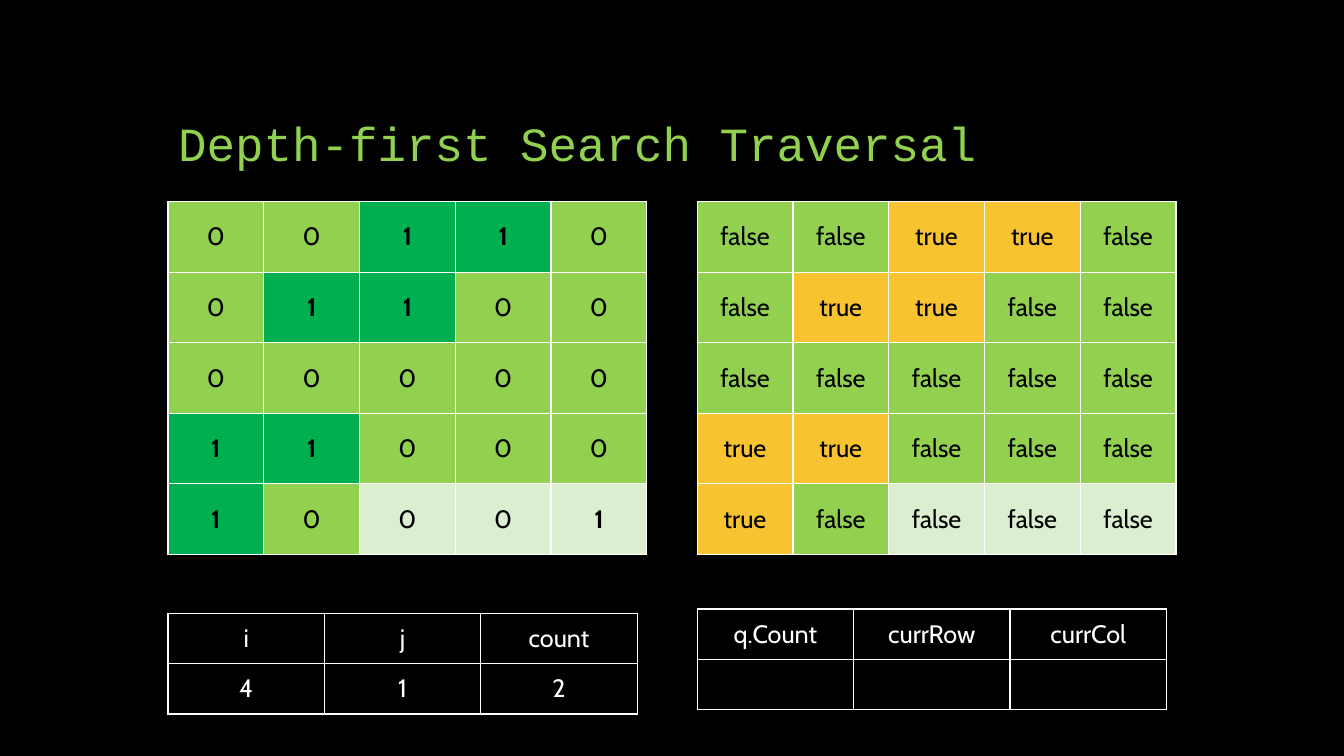
from pptx import Presentation
from pptx.dml.color import RGBColor
from pptx.enum.text import MSO_ANCHOR, MSO_AUTO_SIZE, PP_ALIGN
from pptx.oxml import parse_xml
from pptx.oxml.ns import nsdecls
from pptx.util import Emu, Pt

BLACK, WHITE = "000000", "FFFFFF"
LIME, GREEN, AMBER, PALE = "92D050", "00B050", "F7C331", "DCEED0"


def px(length):
    return Emu(length * 9525)


def color(hex_string):
    return RGBColor.from_string(hex_string)


presentation = Presentation()
presentation.slide_width, presentation.slide_height = px(1280), px(720)
slide = presentation.slides.add_slide(presentation.slide_layouts[5])
slide.background.fill.solid()
slide.background.fill.fore_color.rgb = color(BLACK)

title = slide.shapes.title
title.left, title.top, title.width, title.height = px(160), px(48), px(960), px(120)
title_frame = title.text_frame
title_frame.word_wrap = True
title_frame.auto_size = MSO_AUTO_SIZE.NONE
title_frame.vertical_anchor = MSO_ANCHOR.BOTTOM
paragraph = title_frame.paragraphs[0]
paragraph.alignment = PP_ALIGN.LEFT
paragraph.line_spacing = 0.9
run = paragraph.add_run()
run.text = "Depth-first Search Traversal"
run.font.name = "Courier New"
run.font.size = Pt(34)
run.font.color.rgb = color(LIME)

island_map = ["00110", "01100", "00000", "11000", "10001"]
current_position = (4, 1)
island_rows, visited_rows = [], []
for row_index, line in enumerate(island_map):
    island_row, visited_row = [], []
    for column_index, digit in enumerate(line):
        reached = (row_index, column_index) <= current_position
        land = digit == "1"
        visited = land and reached
        island_fill = (GREEN if land else LIME) if reached else PALE
        visited_fill = (AMBER if land else LIME) if reached else PALE
        island_row.append((digit, island_fill, land))
        visited_row.append(("true" if visited else "false", visited_fill, False))
    island_rows.append(island_row)
    visited_rows.append(visited_row)

counter_rows = [[(text, None, False) for text in row] for row in (("i", "j", "count"), ("4", "1", "2"))]
queue_rows = [[(text, None, False) for text in row] for row in (("q.Count", "currRow", "currCol"), ("", "", ""))]

tables = [
    (160, 192, 456, 336, BLACK, island_rows),
    (664, 192, 456, 336, BLACK, visited_rows),
    (160, 584, 447, 96, WHITE, counter_rows),
    (664, 580, 447, 96, WHITE, queue_rows),
]
for left, top, width, height, text_color, rows in tables:
    table = slide.shapes.add_table(
        len(rows), len(rows[0]), px(left), px(top), px(width), px(height)
    ).table
    table.first_row = False
    table.horz_banding = False
    for row_index, row in enumerate(rows):
        for column_index, (text, fill, bold) in enumerate(row):
            cell = table.cell(row_index, column_index)
            cell.vertical_anchor = MSO_ANCHOR.MIDDLE
            properties = cell._tc.get_or_add_tcPr()
            for side in ("lnL", "lnR", "lnT", "lnB"):
                properties.append(parse_xml(
                    f'<a:{side} {nsdecls("a")} w="{Pt(1)}"><a:solidFill>'
                    f'<a:srgbClr val="{WHITE}"/></a:solidFill></a:{side}>'
                ))
            if fill:
                cell.fill.solid()
                cell.fill.fore_color.rgb = color(fill)
            else:
                cell.fill.background()
            if text:
                paragraph = cell.text_frame.paragraphs[0]
                paragraph.alignment = PP_ALIGN.CENTER
                run = paragraph.add_run()
                run.text = text
                run.font.name = "Cabin"
                run.font.size = Pt(18)
                run.font.bold = bold
                run.font.color.rgb = color(text_color)

presentation.save("out.pptx")
